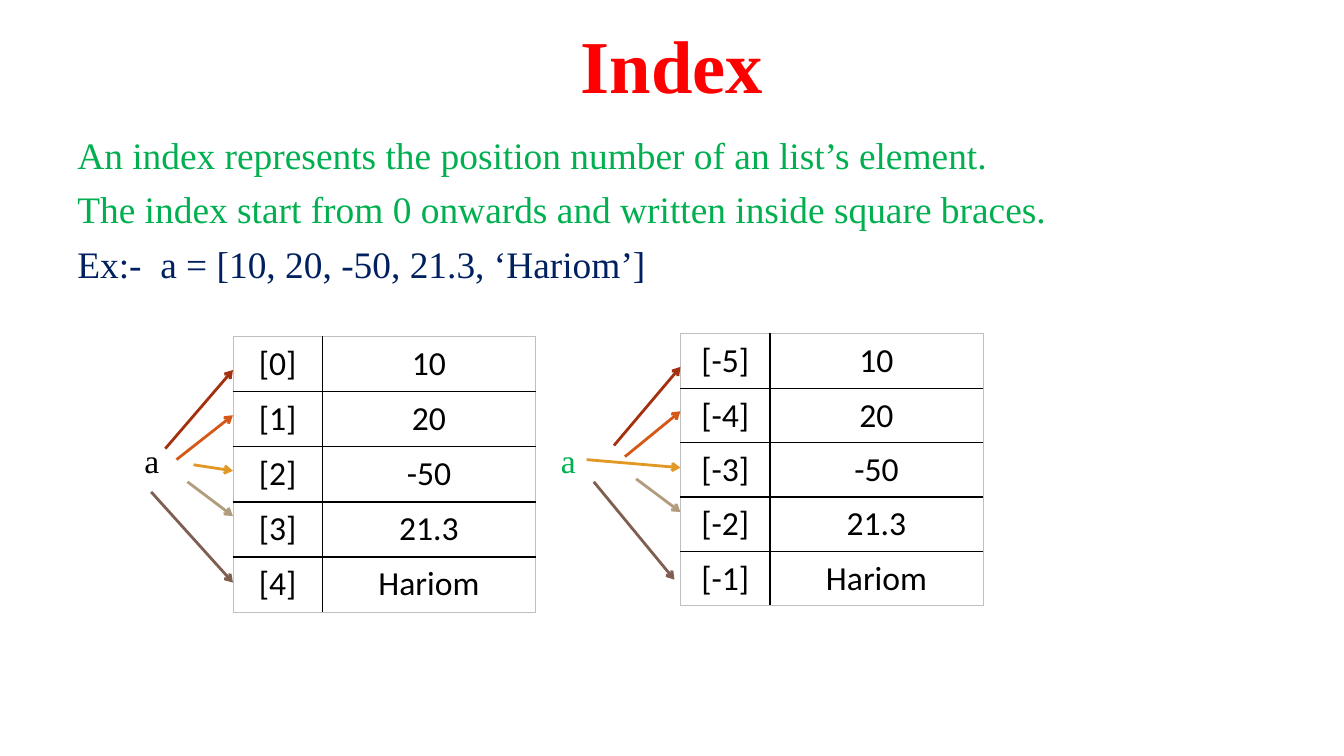
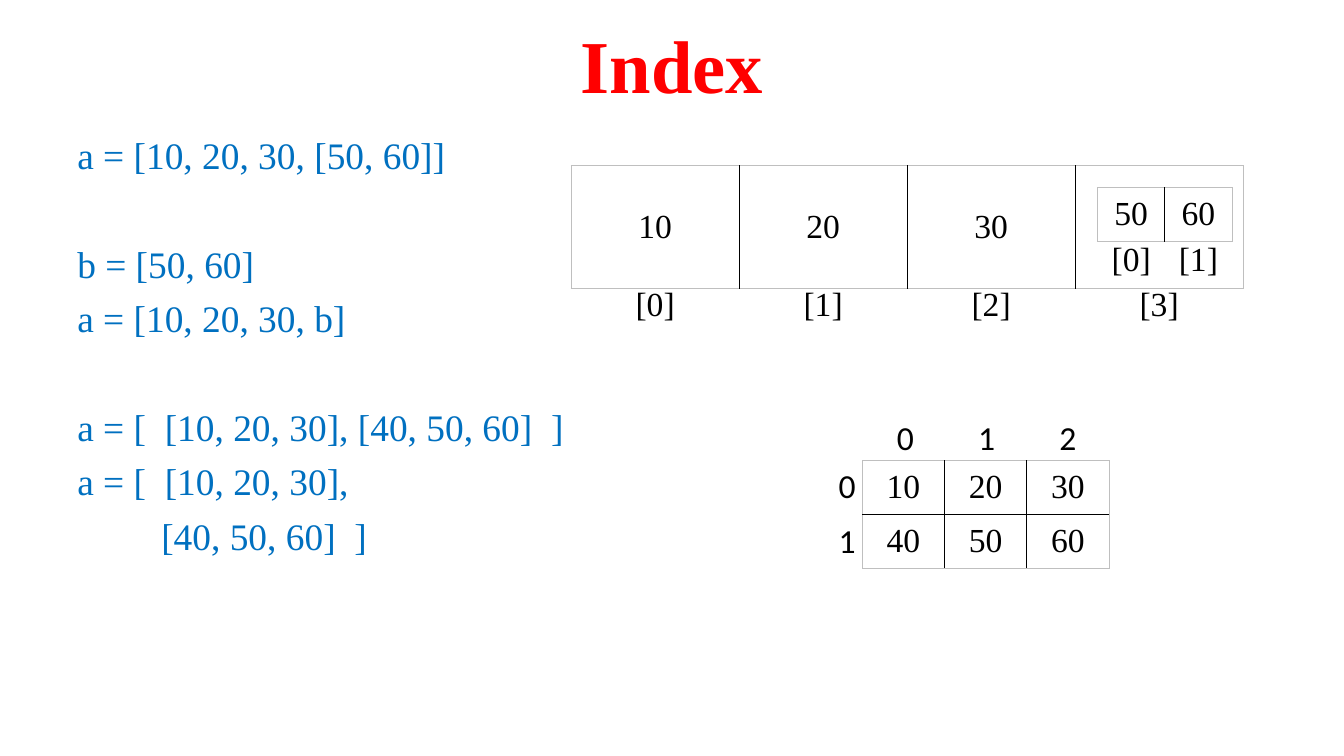
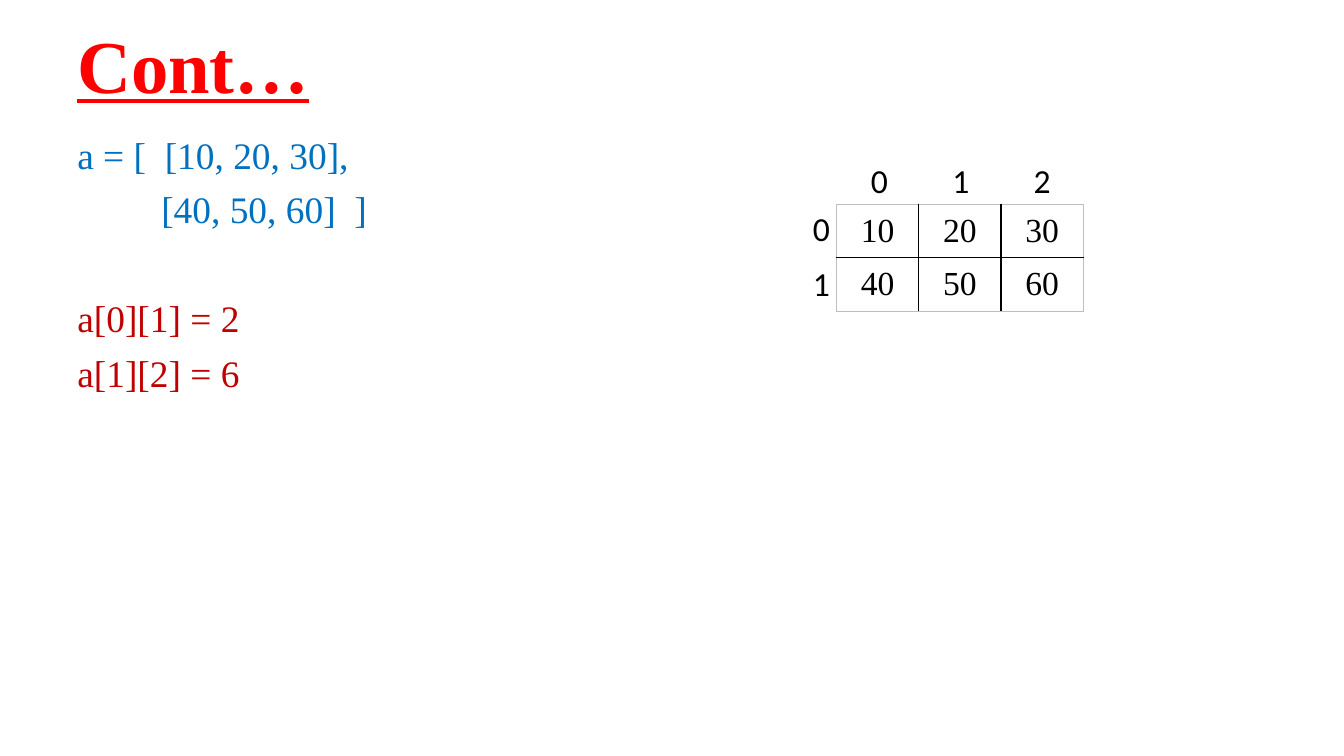
from lxml.etree import SubElement as Sub
from pptx import Presentation
from pptx.dml.color import RGBColor
from pptx.enum.shapes import MSO_CONNECTOR as Link
from pptx.enum.text import MSO_ANCHOR as Anchor, MSO_AUTO_SIZE as Fit, PP_ALIGN as Align
from pptx.oxml.ns import qn
from pptx.util import Inches, Pt

COLS = 60
WIDE = 13.3333
ROW = 2.4
SERIF, SANS = "Times New Roman", "Calibri"
BLACK, RED, GREEN, NAVY, BLUE, DARK = "000000", "FF0000", "00B050", "002060", "0070C0", "C00000"
GRAY = "BFBFBF"
HUES = ["A5300F", "D55816", "E19825", "B19C7D", "7F5F52"]


def paint(code):
    return RGBColor.from_string(code)


def unit(count):
    return Inches(count * WIDE / COLS)


class Deck:
    def __init__(self):
        self.prs = Presentation()
        self.prs.slide_width, self.prs.slide_height = Inches(WIDE), Inches(7.5)

    def page(self, title, align=Align.CENTER, line=False):
        self.slide = self.prs.slides.add_slide(self.prs.slide_layouts[1])
        head = self.slide.shapes.title
        self.place(head, 3, 0.27, 54, 5.63)
        frame = head.text_frame
        frame.text = title
        frame.auto_size = Fit.NONE
        frame.vertical_anchor = Anchor.MIDDLE
        para = frame.paragraphs[0]
        para.line_spacing = 0.9
        self.style(para, 53.3, SERIF, RED, align)
        font = para.runs[0].font
        font.bold = True
        font.underline = line

    def place(self, shape, x, y, w, h):
        shape.left, shape.top, shape.width, shape.height = map(unit, (x, y, w, h))

    def style(self, para, size, face, color, align=Align.LEFT):
        para.alignment = align
        for run in para.runs:
            run.font.size, run.font.name = Pt(size), face
            run.font.color.rgb = paint(color)

    def body(self, lines, high=25):
        shape = self.slide.placeholders[1]
        self.place(shape, 3, 5.9, 54, high)
        frame = shape.text_frame
        frame.text = "\n".join(text for text, *_ in lines)
        frame.auto_size = Fit.NONE
        for para, (_, color, gap, inset) in zip(frame.paragraphs, lines):
            para.line_spacing = 0.9
            para.space_before = Pt(48.9 if gap else 10)
            self.style(para, 26.7, SERIF, color)
            props = para._p.get_or_add_pPr()
            props.set("marL", str(unit(inset)))
            props.set("indent", "0")
            Sub(props, qn("a:buNone"))

    def label(self, text, x, y, color):
        box = self.slide.shapes.add_textbox(*map(unit, (x, y, 1.6, 2.25)))
        box.text_frame.text = text
        box.text_frame.word_wrap = False
        self.style(box.text_frame.paragraphs[0], 24, SERIF, color)

    def arrow(self, start, end, color):
        link = self.slide.shapes.add_connector(Link.STRAIGHT, *map(unit, start + end))
        link.line.color.rgb = paint(color)
        link.line.width = Pt(2)
        Sub(link.line._get_or_add_ln(), qn("a:tailEnd"), type="arrow")
        Sub(link._element.spPr, qn("a:effectLst"))

    def edge(self, cell, side, color):
        line = Sub(cell._tc.get_or_add_tcPr(), qn("a:ln" + side), w=str(Pt(1 if color == BLACK else 0.5)))
        if color:
            fill = Sub(line, qn("a:solidFill"))
            Sub(fill, qn("a:srgbClr"), val=color)
        else:
            Sub(line, qn("a:noFill"))

    def table(self, x, y, cols, data, face=SERIF, high=ROW, grid=True):
        rows, count = len(data), len(cols)
        size = map(unit, (x, y, sum(cols), high * rows))
        table = self.slide.shapes.add_table(rows, count, *size).table
        table.first_row = table.horz_banding = False
        for col, wide in zip(table.columns, cols):
            col.width = unit(wide)
        for r, line in enumerate(data):
            table.rows[r].height = unit(high)
            for c, text in enumerate(line):
                cell = table.cell(r, c)
                cell.text = text
                cell.margin_left = cell.margin_right = Inches(0.13)
                cell.margin_top = cell.margin_bottom = Inches(0.07)
                cell.vertical_anchor = Anchor.MIDDLE
                self.style(cell.text_frame.paragraphs[0], 24, face, BLACK, Align.CENTER)
                outer = {"L": c == 0, "R": c == count - 1, "T": r == 0, "B": r == rows - 1}
                for side, rim in outer.items():
                    self.edge(cell, side, (GRAY if rim else BLACK) if grid else None)
                cell.fill.background()

    def matrix(self, x, y):
        self.table(x, y, [3.67] * 3, [["10", "20", "30"], ["40", "50", "60"]])
        self.table(x - 2.83, y - 0.05, [4.3], [["0"], ["1"]], SANS, 2.43, False)
        self.table(x + 0.1, y - 2.2, [3.63] * 3, [["0", "1", "2"]], SANS, 2.43, False)


def code(text, color=BLUE, gap=False, inset=0):
    return text, color, gap, inset


def main():
    deck = Deck()
    split = [code("a = [  [10, 20, 30],"), code("[40, 50, 60]  ]", inset=3.75)]

    deck.page("Index")
    deck.body([
        code("An index represents the position number of an list’s element.", GREEN),
        code("The index start from 0 onwards and written inside square braces.", GREEN),
        code("Ex:-  a = [10, 20, -50, 21.3, ‘Hariom’]", NAVY),
    ], 22.3)
    items = ["10", "20", "-50", "21.3", "Hariom"]
    left = [((7.38, 20.03), (10.4, 16.52)), ((7.88, 20.52), (10.4, 18.54)),
            ((8.64, 20.75), (10.4, 21.02)), ((8.37, 21.51), (10.4, 23.04)),
            ((6.75, 21.96), (10.4, 26.01))]
    right = [((27.41, 19.89), (30.38, 16.38)), ((27.9, 20.39), (30.38, 18.36)),
             ((26.19, 20.52), (30.38, 20.88)), ((28.4, 21.38), (30.38, 22.86)),
             ((26.51, 21.51), (30.11, 25.88))]
    for x, y, first, mark, color, ways in (
            (10.4, 15.03, 0, 6, BLACK, left), (30.38, 14.9, -5, 24.6, GREEN, right)):
        data = [[f"[{key}]", item] for key, item in enumerate(items, first)]
        deck.table(x, y, [4, 9.5], data, SANS)
        deck.label("a", mark, 19.4, color)
        for (start, end), hue in zip(ways, HUES):
            deck.arrow(start, end, hue)

    deck.page("Index")
    deck.body([
        code("a = [10, 20, 30, [50, 60]]"),
        code("b = [50, 60]", gap=True),
        code("a = [10, 20, 30, b]"),
        code("a = [  [10, 20, 30], [40, 50, 60]  ]", gap=True),
        *split,
    ])
    deck.table(25.5, 7.38, [7.5] * 4, [["10", "20", "30", ""]], high=5.5)
    deck.table(49, 8.37, [3] * 2, [["50", "60"]])
    deck.table(25.5, 12.38, [7.5] * 4, [[f"[{key}]" for key in range(4)]], high=2.5, grid=False)
    deck.table(49, 10.4, [3] * 2, [["[0]", "[1]"]], grid=False)
    deck.matrix(38.5, 20.57)

    deck.page("Cont…", Align.LEFT, True)
    deck.body([*split, code("a[0][1] = 2", DARK, True), code("a[1][2] = 6", DARK)])
    deck.matrix(37.35, 9.1)

    deck.prs.save("out.pptx")


if __name__ == "__main__":
    main()
